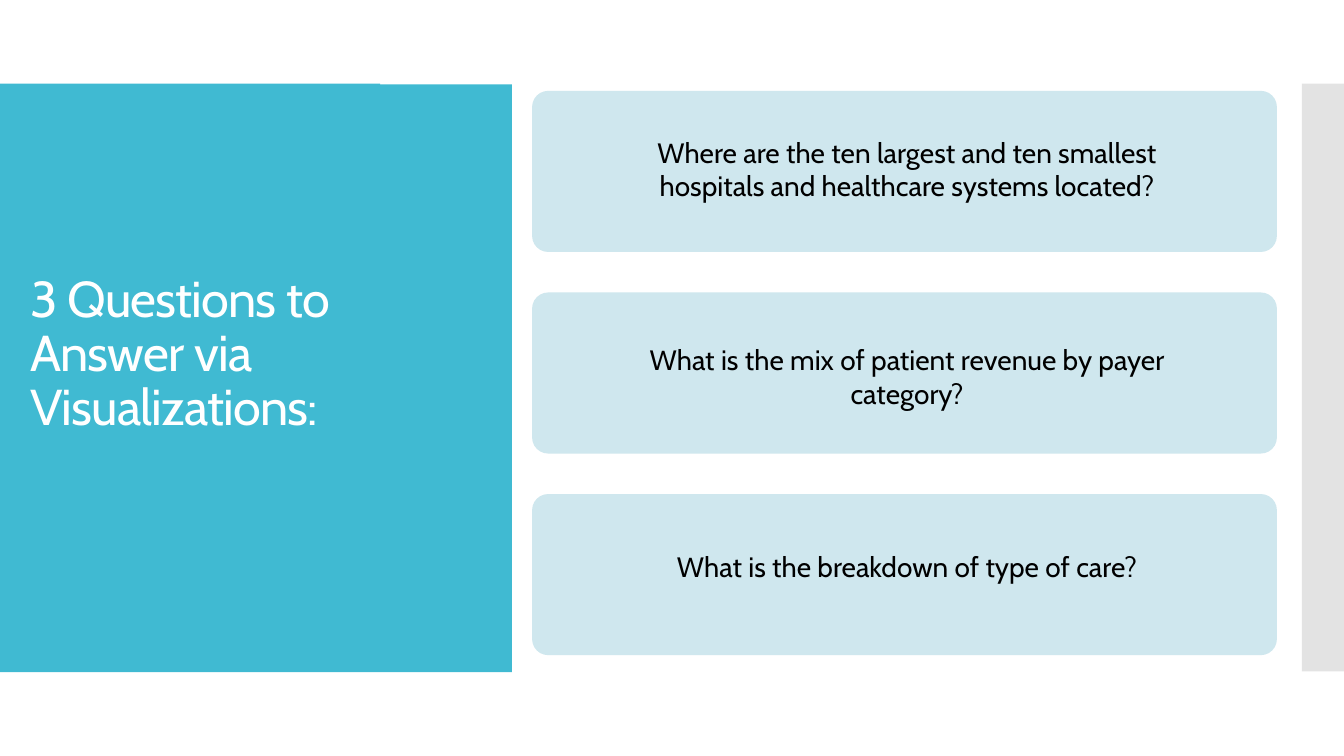
from lxml.etree import SubElement
from pptx import Presentation
from pptx.dml.color import RGBColor
from pptx.enum.shapes import MSO_SHAPE as Preset
from pptx.enum.text import MSO_ANCHOR as Anchor, MSO_AUTO_SIZE as AutoSize, PP_ALIGN as Align
from pptx.oxml.ns import qn
from pptx.util import Cm, Pt

FONT = "Cabin"
COLORS = {
    "teal": "40BAD2",
    "grey": "C8C8C8",
    "card": "CFE7EE",
    "title": "FFFFFF",
    "body": "000000",
}
QUESTIONS = [
    "Where are the ten largest and ten smallest hospitals and healthcare systems located?",
    "What is the mix of patient revenue by payer category?",
    "What is the breakdown of type of care?",
]
# Card geometry in centimetres
CARD_LEFT, CARD_TOP, CARD_WIDTH, CARD_HEIGHT, CARD_PITCH = 13.41, 2.29, 18.77, 4.06, 5.08


def add_block(slide, box, color, preset=Preset.RECTANGLE, opacity=None):
    shape = slide.shapes.add_shape(preset, *map(Cm, box))
    shape.shadow.inherit = False
    shape.line.fill.background()
    shape.fill.solid()
    shape.fill.fore_color.rgb = RGBColor.from_string(COLORS[color])
    if opacity is not None:
        color_node = shape.element.spPr.find(".//" + qn("a:srgbClr"))
        SubElement(color_node, qn("a:alpha"), val=str(opacity * 1000))
    return shape


def add_run(paragraph, text, size, color):
    run = paragraph.add_run()
    run.text = text
    run.font.name = FONT
    run.font.size = Pt(size)
    run.font.color.rgb = RGBColor.from_string(COLORS[color])
    return run


def set_title(slide, text, box):
    title = slide.shapes.title
    title.left, title.top, title.width, title.height = map(Cm, box)
    frame = title.text_frame
    frame.word_wrap = True
    frame.auto_size = AutoSize.NONE
    frame.vertical_anchor = Anchor.MIDDLE
    paragraph = frame.paragraphs[0]
    paragraph.alignment = Align.LEFT
    paragraph.line_spacing = 0.9
    run = add_run(paragraph, text, 36, "title")
    run.font._element.set("spc", "-60")
    # Bring the title in front of the panel
    title.element.getparent().append(title.element)


def add_cards(slide):
    for index in range(len(QUESTIONS)):
        top = CARD_TOP + index * CARD_PITCH
        card = add_block(slide, (CARD_LEFT, top, CARD_WIDTH, CARD_HEIGHT), "card",
                         Preset.ROUNDED_RECTANGLE)
        card.adjustments[0] = 0.1


def add_questions(slide):
    height = CARD_PITCH * (len(QUESTIONS) - 1) + CARD_HEIGHT
    frame = slide.shapes.add_textbox(Cm(15.57), Cm(CARD_TOP), Cm(14.58), Cm(height)).text_frame
    frame.word_wrap = True
    frame.margin_left = frame.margin_right = frame.margin_bottom = 0
    frame.margin_top = Cm(1.12)
    for index, question in enumerate(QUESTIONS):
        paragraph = frame.add_paragraph() if index else frame.paragraphs[0]
        paragraph.alignment = Align.CENTER
        paragraph.space_before = Pt(100 if index else 0)
        add_run(paragraph, question, 20, "body")


def main():
    presentation = Presentation()
    presentation.slide_width, presentation.slide_height = Cm(33.87), Cm(19.05)
    slide = presentation.slides.add_slide(presentation.slide_layouts[5])

    # Side bands
    add_block(slide, (0, 2.11, 9.58, 14.81), "teal")
    add_block(slide, (32.81, 2.11, 1.06, 14.81), "grey", opacity=50)

    # Question cards
    add_cards(slide)

    # Title panel
    add_block(slide, (0, 2.13, 12.9, 14.81), "teal")
    set_title(slide, "3 Questions to Answer via Visualizations:", (0.51, 7.21, 12.09, 3.48))

    # Question text
    add_questions(slide)

    presentation.save("out.pptx")


if __name__ == "__main__":
    main()
